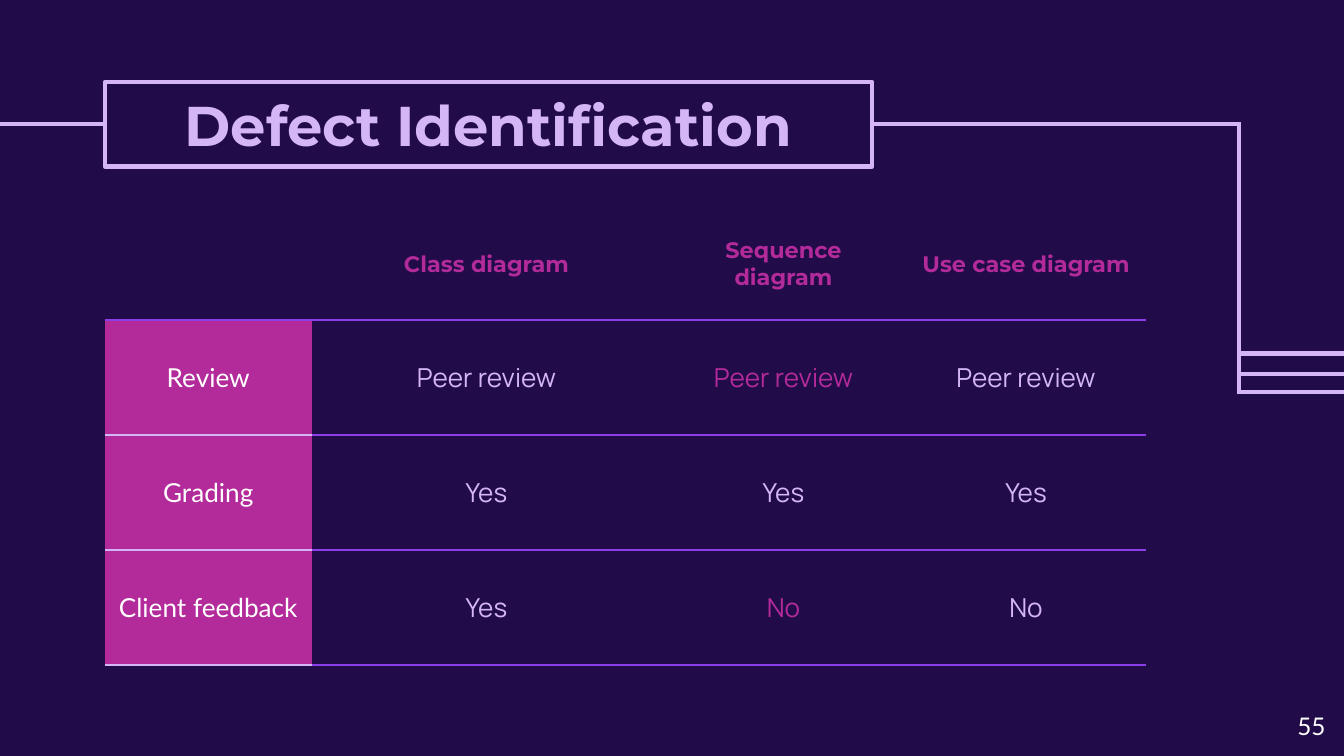
import pptx
import pptx.dml.color
import pptx.enum.shapes
import pptx.enum.text
import pptx.oxml
import pptx.oxml.ns
import pptx.util

Inches, Pt = pptx.util.Inches, pptx.util.Pt
RGBColor = pptx.dml.color.RGBColor
ALIGN = pptx.enum.text.PP_ALIGN
MIDDLE = pptx.enum.text.MSO_ANCHOR.MIDDLE

NIGHT = RGBColor(0x22, 0x0B, 0x49)
LILAC = RGBColor(0xD4, 0xB6, 0xF6)
MAGENTA = RGBColor(0xB3, 0x2A, 0x9A)
VIOLET = RGBColor(0x8C, 0x3E, 0xE6)
WHITE = RGBColor(0xFF, 0xFF, 0xFF)

TITLE = "Defect Identification"
PAGE_NUMBER = "55"
ROWS = [
    ["", "Class diagram", "Sequence diagram", "Use case diagram"],
    ["Review", "Peer review", "Peer review", "Peer review"],
    ["Grading", "Yes", "Yes", "Yes"],
    ["Client feedback", "Yes", "No", "No"],
]
HIGHLIGHTED = {(1, 2), (3, 2)}

WIDTH = 10
HEIGHT = WIDTH * 9 / 16
MARGIN = 0.78
TITLE_TOP, TITLE_WIDTH, TITLE_HEIGHT = 0.61, 5.71, 0.63
RAIL_X, RAIL_Y = 9.22, 0.92
BRANCHES = [2.63, 2.78, 2.92]
CORNER = 0.01
TABLE_TOP = 1.55
COLUMN_WIDTHS = [1.54, 2.6, 1.82, 1.79]
ROW_HEIGHTS = [0.83] + [2.57 / 3] * 3
NO_STYLE = "{2D5ABB26-0587-4C30-8999-92F81FD0307C}"


def set_text(frame, text, size, font, color, bold=False, align=ALIGN.CENTER):
    frame.word_wrap = True
    frame.text = text
    para = frame.paragraphs[0]
    para.alignment = align
    for span in para.runs:
        span.font.size = Pt(size)
        span.font.name = font
        span.font.bold = bold
        span.font.color.rgb = color


def add_line(slide, x1, y1, x2, y2):
    line = slide.shapes.add_connector(
        pptx.enum.shapes.MSO_CONNECTOR.STRAIGHT,
        Inches(x1), Inches(y1), Inches(x2), Inches(y2))
    line.line.color.rgb = LILAC
    line.line.width = Pt(2.25)
    line._element.spPr.append(pptx.oxml.parse_xml(
        f'<a:effectLst {pptx.oxml.ns.nsdecls("a")}/>'))


def add_border(cell, side, color):
    """Draw one cell edge; side is T or B. Call before setting the fill."""
    cell._tc.get_or_add_tcPr().append(pptx.oxml.parse_xml(
        f'<a:ln{side} {pptx.oxml.ns.nsdecls("a")} w="{Pt(1.5)}"><a:solidFill>'
        f'<a:srgbClr val="{color}"/></a:solidFill></a:ln{side}>'))


def add_rails(slide):
    add_line(slide, -0.05, RAIL_Y, RAIL_X + CORNER, RAIL_Y)
    add_line(slide, RAIL_X, RAIL_Y, RAIL_X, BRANCHES[-1] + CORNER)
    for y in BRANCHES:
        add_line(slide, RAIL_X, y, WIDTH + 0.09, y)


def format_title(slide):
    title = slide.shapes.title
    title.left, title.top = Inches(MARGIN), Inches(TITLE_TOP)
    title.width, title.height = Inches(TITLE_WIDTH), Inches(TITLE_HEIGHT)
    title.fill.solid()
    title.fill.fore_color.rgb = NIGHT
    title.line.color.rgb = LILAC
    title.line.width = Pt(2.25)
    frame = title.text_frame
    set_text(frame, TITLE, 30, "Montserrat", LILAC, bold=True)
    frame.vertical_anchor = MIDDLE
    frame.margin_top = frame.margin_bottom = Inches(0.1)
    # Bring the title in front of the rail that runs behind it
    slide.shapes._spTree.append(title._element)


def format_cell(cell, row, column):
    is_label = row > 0 and column == 0
    rule = LILAC if is_label else VIOLET
    if row > 0:
        add_border(cell, "T", VIOLET if row == 1 else rule)
    add_border(cell, "B", rule)
    if is_label:
        cell.fill.solid()
        cell.fill.fore_color.rgb = MAGENTA
    else:
        cell.fill.background()

    if row == 0:
        style = (12, "Montserrat", MAGENTA, True)
    elif is_label:
        style = (14, "Lato", WHITE)
    else:
        style = (14, "Manrope", MAGENTA if (row, column) in HIGHLIGHTED else LILAC)
    set_text(cell.text_frame, ROWS[row][column], *style)
    cell.vertical_anchor = MIDDLE
    cell.margin_left = cell.margin_right = Inches(0.1)
    cell.margin_top = cell.margin_bottom = Inches(0.1)


def add_defect_table(slide):
    frame = slide.shapes.add_table(
        len(ROWS), len(COLUMN_WIDTHS), Inches(MARGIN), Inches(TABLE_TOP),
        Inches(sum(COLUMN_WIDTHS)), Inches(sum(ROW_HEIGHTS)))
    table = frame.table
    table._tbl.tblPr.find(pptx.oxml.ns.qn("a:tableStyleId")).text = NO_STYLE
    table.first_row = table.horz_banding = False
    for column, width in zip(table.columns, COLUMN_WIDTHS):
        column.width = Inches(width)
    for row, height in zip(table.rows, ROW_HEIGHTS):
        row.height = Inches(height)
    for r, labels in enumerate(ROWS):
        for c in range(len(labels)):
            format_cell(table.cell(r, c), r, c)


def add_page_number(slide):
    box = slide.shapes.add_textbox(
        Inches(9.36), Inches(5.19), Inches(0.6), Inches(0.43))
    frame = box.text_frame
    frame.margin_top = frame.margin_bottom = Inches(0.1)
    set_text(frame, PAGE_NUMBER, 13, "Lato", WHITE, align=ALIGN.RIGHT)


def main():
    deck = pptx.Presentation()
    deck.slide_width, deck.slide_height = Inches(WIDTH), Inches(HEIGHT)
    slide = deck.slides.add_slide(deck.slide_layouts.get_by_name("Title Only"))
    slide.background.fill.solid()
    slide.background.fill.fore_color.rgb = NIGHT
    add_rails(slide)
    format_title(slide)
    add_defect_table(slide)
    add_page_number(slide)
    deck.save("out.pptx")


if __name__ == "__main__":
    main()
